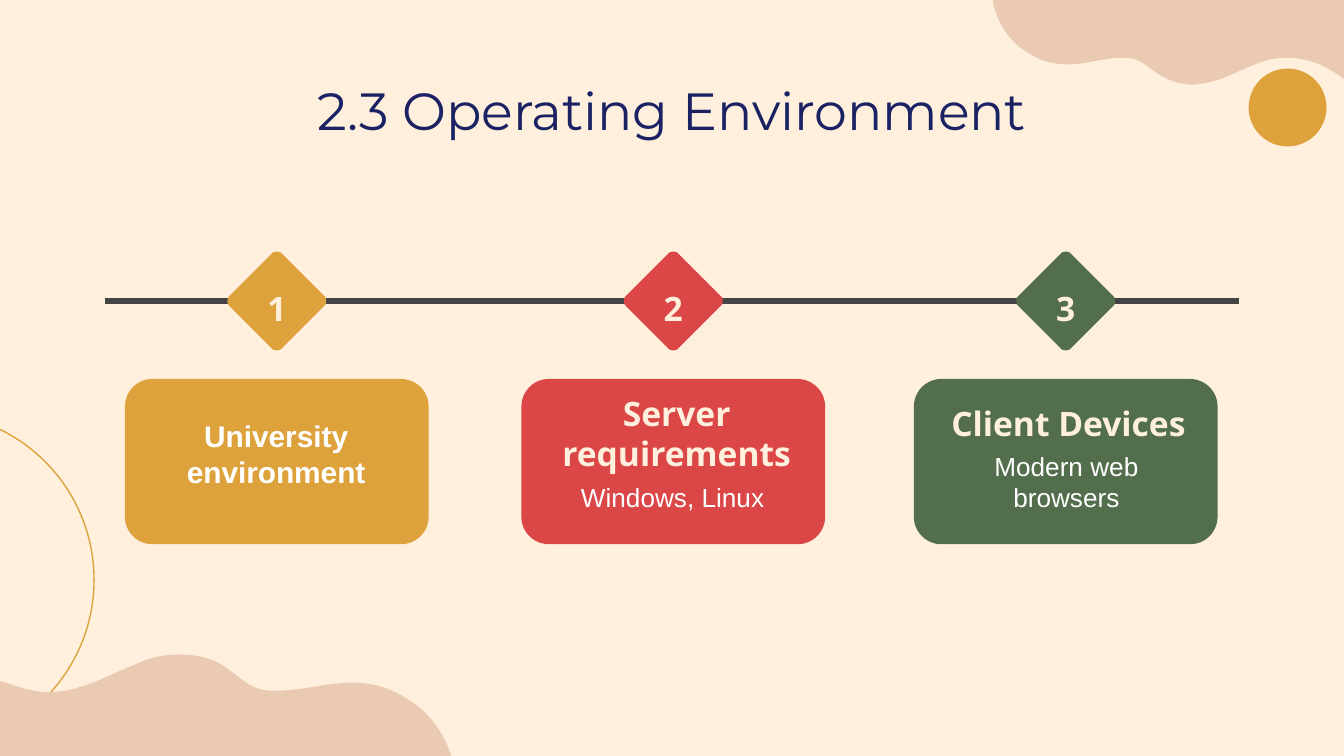
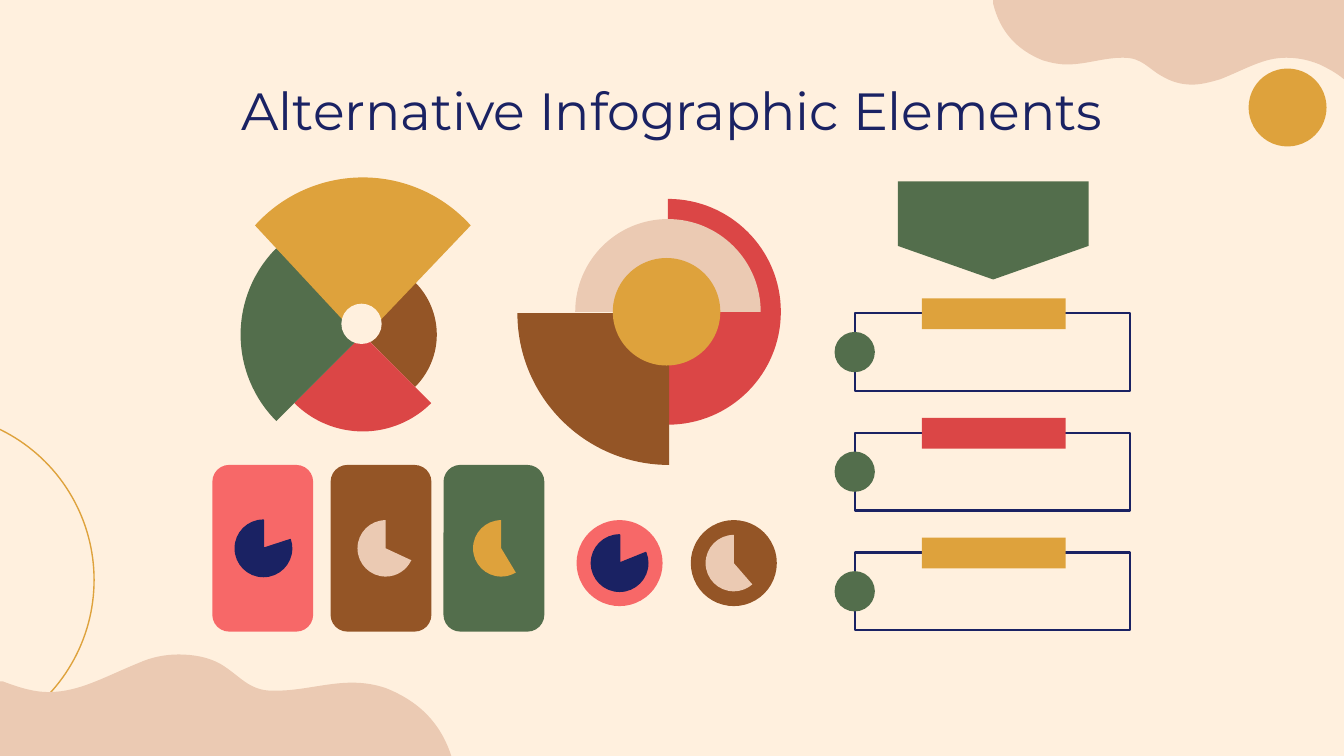
from math import cos, floor, radians, sin, tan

from lxml import etree
from pptx import Presentation
from pptx.dml.color import RGBColor
from pptx.enum.shapes import MSO_CONNECTOR as Connector, MSO_SHAPE as Shape
from pptx.enum.text import MSO_ANCHOR as Anchor, PP_ALIGN as Align
from pptx.oxml.ns import qn
from pptx.util import Inches, Pt

CREAM = RGBColor(0xFF, 0xF0, 0xDE)
PEACH = RGBColor(0xEB, 0xCA, 0xB3)
GOLD = RGBColor(0xDE, 0xA2, 0x3C)
RED = RGBColor(0xDB, 0x46, 0x46)
GREEN = RGBColor(0x53, 0x6E, 0x4C)
BROWN = RGBColor(0x94, 0x55, 0x26)
PINK = RGBColor(0xF7, 0x68, 0x68)
NAVY = RGBColor(0x1A, 0x22, 0x63)
GRAY = RGBColor(0x44, 0x44, 0x44)
WHITE = RGBColor(0xFF, 0xFF, 0xFF)

TITLE_FONT, HEADING_FONT, BODY_FONT = "Montserrat", "Open Sans", "Arial"
HEADING = dict(size=18, font=HEADING_FONT, color=CREAM, bold=True)
BODY = dict(size=14, font=BODY_FONT, color=WHITE)

# Each wave is a start point, then Bézier curves (6 numbers) and lines (2 numbers).
TOP_WAVE = [
    (10, 0), (10, 0.59),
    (9.94, 0.54, 9.88, 0.51, 9.82, 0.48),
    (9.72, 0.44, 9.64, 0.43, 9.57, 0.43),
    (9.4, 0.43, 9.28, 0.51, 9.08, 0.59),
    (9.01, 0.61, 8.94, 0.63, 8.87, 0.63),
    (8.79, 0.63, 8.72, 0.61, 8.65, 0.57),
    (8.54, 0.51, 8.5, 0.43, 8.36, 0.43),
    (8.36, 0.43, 8.36, 0.43, 8.35, 0.43),
    (8.21, 0.43, 8.08, 0.48, 7.94, 0.48),
    (7.88, 0.48, 7.83, 0.47, 7.76, 0.45),
    (7.56, 0.37, 7.44, 0.23, 7.39, 0.03),
    (7.39, 0.02, 7.39, 0.01, 7.39, 0),
]
BOTTOM_WAVE = [
    (1.33, 4.87),
    (1.44, 4.87, 1.55, 4.89, 1.64, 4.94),
    (1.79, 5.03, 1.85, 5.14, 2.03, 5.14),
    (2.04, 5.14, 2.04, 5.14, 2.05, 5.14),
    (2.25, 5.14, 2.43, 5.08, 2.62, 5.08),
    (2.7, 5.08, 2.78, 5.09, 2.87, 5.12),
    (3.12, 5.22, 3.28, 5.38, 3.36, 5.63),
    (0, 5.63), (0, 5.07),
    (0.01, 5.07, 0.01, 5.07, 0.02, 5.07),
    (0.15, 5.12, 0.26, 5.15, 0.36, 5.15),
    (0.59, 5.15, 0.77, 5.04, 1.04, 4.93),
    (1.13, 4.89, 1.23, 4.87, 1.33, 4.87),
]


def arc(x, y, radius, start, end):
    """Return the arc's first point and its Bézier curves, split at each quarter."""
    quarters = range(floor(start / 90) + 1, floor(end / 90) + 1)
    stops = [start] + [90 * quarter for quarter in quarters if 90 * quarter < end] + [end]
    segments = [(x + radius * sin(radians(start)), y - radius * cos(radians(start)))]
    for first, last in zip(stops, stops[1:]):
        a, b = radians(first), radians(last)
        pull = 4 / 3 * tan((b - a) / 4)
        segments.append((
            x + radius * (sin(a) + pull * cos(a)), y - radius * (cos(a) - pull * sin(a)),
            x + radius * (sin(b) - pull * cos(b)), y - radius * (cos(b) + pull * sin(b)),
            x + radius * sin(b), y - radius * cos(b)))
    return segments


def bend(shape, segments):
    """Join the three straight lines drawn for each curve into one Bézier curve."""
    lines = iter(list(shape._element.iter(qn("a:lnTo"))))
    for segment in segments:
        nodes = [next(lines) for _ in range(len(segment) // 2)]
        if len(nodes) == 3:
            curve = etree.Element(qn("a:cubicBezTo"))
            nodes[0].addprevious(curve)
            for node in nodes:
                curve.append(node[0])
                node.getparent().remove(node)


def format_text(frame, text, size, font, color, bold=False, anchor=Anchor.TOP, top=0.1):
    frame.word_wrap = True
    frame.vertical_anchor = anchor
    frame.margin_left = frame.margin_right = frame.margin_bottom = Inches(0.1)
    frame.margin_top = Inches(top)
    paragraph = frame.paragraphs[0]
    paragraph.alignment = Align.CENTER
    run = paragraph.add_run()
    run.text = text
    run.font.size = Pt(size)
    run.font.name = font
    run.font.bold = bold
    run.font.color.rgb = color


class Deck:
    """Holds the presentation, its shared style and the current slide."""

    def __init__(self):
        self.presentation = Presentation()
        self.presentation.slide_width = Inches(10)
        self.presentation.slide_height = Inches(10 * 9 / 16)
        self.slide = None

    def new_slide(self, title):
        self.slide = self.presentation.slides.add_slide(self.presentation.slide_layouts[6])
        fill = self.slide.background.fill
        fill.solid()
        fill.fore_color.rgb = CREAM
        self.outline(TOP_WAVE, PEACH)
        self.preset(Shape.OVAL, -1.79, 3.07, 2.49, 2.49, line=GOLD, width=0.75)
        self.circle(9.58, 0.8, 0.29, GOLD)
        self.outline(BOTTOM_WAVE, PEACH)
        self.text(title, 0.78, 0.48, 8.44, 0.63, size=28, font=TITLE_FONT, color=NAVY)

    def paint(self, shape, fill=None, line=None, width=1.0):
        shape.shadow.inherit = False
        if fill is None:
            shape.fill.background()
        else:
            shape.fill.solid()
            shape.fill.fore_color.rgb = fill
        if line is None:
            shape.line.fill.background()
        else:
            shape.line.color.rgb = line
            shape.line.width = Pt(width)
        return shape

    def preset(self, kind, left, top, across, down, fill=None, line=None, width=1.0):
        shape = self.slide.shapes.add_shape(
            kind, Inches(left), Inches(top), Inches(across), Inches(down))
        return self.paint(shape, fill, line, width)

    def circle(self, x, y, radius, fill):
        return self.preset(Shape.OVAL, x - radius, y - radius, 2 * radius, 2 * radius, fill)

    def outline(self, segments, fill, line=None, width=1.0):
        """Draw a closed outline from a start point, lines and Bézier curves."""
        start, *rest = segments
        points = [(Inches(segment[i]), Inches(segment[i + 1]))
                  for segment in rest for i in range(0, len(segment), 2)]
        builder = self.slide.shapes.build_freeform(Inches(start[0]), Inches(start[1]))
        builder.add_line_segments(points, close=True)
        shape = builder.convert_to_shape()
        bend(shape, rest)
        return self.paint(shape, fill, line, width)

    def wedge(self, x, y, radius, start, end, fill, apex=None, line=None):
        """Draw a sector; angles run clockwise in degrees from the top."""
        segments = [apex or (x, y)] + arc(x, y, radius, start, end)
        return self.outline(segments, fill, line, 0.75)

    def diamond(self, x, y, fill, label):
        """Draw a numbered diamond with rounded corners, centred on a point."""
        corner = [(0.03, -0.36), (0.02, -0.37), (-0.02, -0.37), (-0.03, -0.36)]
        segments = []
        for _ in range(4):
            first, *curve = [(x + dx, y + dy) for dx, dy in corner]
            segments += [first, sum(curve, ())]
            corner = [(dy, -dx) for dx, dy in corner]
        shape = self.outline(segments, fill)
        format_text(shape.text_frame, label, anchor=Anchor.MIDDLE, top=0.2, **HEADING)

    def line(self, x1, y1, x2, y2, color, width):
        connector = self.slide.shapes.add_connector(
            Connector.STRAIGHT, Inches(x1), Inches(y1), Inches(x2), Inches(y2))
        connector.line.color.rgb = color
        connector.line.width = Pt(width)
        properties = connector._element.find(qn("p:spPr"))
        etree.SubElement(properties, qn("a:effectLst"))

    def text(self, text, left, top, width, height, **style):
        box = self.slide.shapes.add_textbox(
            Inches(left), Inches(top), Inches(width), Inches(height))
        format_text(box.text_frame, text, **style)


def build_environment(deck):
    deck.new_slide("2.3 Operating Environment")
    steps = [(2.06, GOLD), (5.01, RED), (7.93, GREEN)]
    for center, color in reversed(steps):
        deck.preset(Shape.ROUNDED_RECTANGLE, center - 1.13, 2.82, 2.26, 1.23, color)
    deck.line(0.78, 2.24, 9.22, 2.24, GRAY, 3)
    deck.text("University environment", 1.13, 3.01, 1.85, 0.85,
              **{**BODY, "size": 16, "bold": True})
    deck.text("Windows, Linux", 4.08, 3.48, 1.85, 0.56, **BODY)
    deck.text("Server requirements", 4.06, 2.82, 1.95, 0.29, **HEADING)
    deck.text("Modern web browsers", 6.96, 3.25, 1.95, 0.56, **BODY)
    deck.text("Client Devices", 6.96, 2.9, 1.98, 0.42, **HEADING)
    for number, (center, color) in enumerate(steps, 1):
        deck.diamond(center, 2.24, color, str(number))


def draw_fan(deck):
    for start, radius, color in [(45, 0.55, BROWN), (135, 0.72, RED), (225, 0.91, GREEN)]:
        deck.wedge(2.7, 2.49, radius, start, start + 90, color)
    deck.wedge(2.7, 2.4, 1.08, -48, 48, GOLD, apex=(2.69, 2.53))
    deck.circle(2.69, 2.41, 0.15, CREAM)


def draw_spiral(deck):
    deck.wedge(4.97, 2.32, 0.84, 0, 180, RED)
    deck.wedge(4.97, 2.32, 0.69, -90, 90, PEACH)
    deck.wedge(4.98, 2.33, 1.13, 180, 270, BROWN)
    deck.circle(4.96, 2.32, 0.4, GOLD)


def draw_pies(deck):
    cards = [
        (1.58, PINK, 1.96, 72, NAVY, NAVY),
        (2.46, BROWN, 2.87, 115, PEACH, None),
        (3.3, GREEN, 3.73, 149, GOLD, None),
    ]
    for left, color, center, start, pie_color, line in cards:
        deck.preset(Shape.ROUNDED_RECTANGLE, left, 3.46, 0.75, 1.24, color)
        deck.wedge(center, 4.08, 0.21, start, 360, pie_color, line=line)
    discs = [(5.46, BROWN, 139, PEACH, None), (4.61, PINK, 68, NAVY, NAVY)]
    for center, color, start, pie_color, line in discs:
        deck.circle(center, 4.19, 0.32, color)
        deck.wedge(center, 4.19, 0.21, start, 360, pie_color, line=line)


def draw_list(deck):
    deck.outline([(6.68, 1.35), (6.68, 1.83), (7.39, 2.08), (8.1, 1.83), (8.1, 1.35)], GREEN)
    for row, color in enumerate([GOLD, RED, GOLD]):
        top = 2.22 + 0.89 * row
        deck.preset(Shape.RECTANGLE, 6.36, top + 0.11, 2.05, 0.58, line=NAVY, width=1.25)
        deck.preset(Shape.RECTANGLE, 6.86, top, 1.07, 0.23, color)
        deck.circle(6.36, top + 0.4, 0.15, GREEN)


def build_infographics(deck):
    deck.new_slide("Alternative Infographic Elements")
    draw_fan(deck)
    draw_spiral(deck)
    draw_pies(deck)
    draw_list(deck)


def main():
    deck = Deck()
    build_environment(deck)
    build_infographics(deck)
    deck.presentation.save("out.pptx")


if __name__ == "__main__":
    main()
